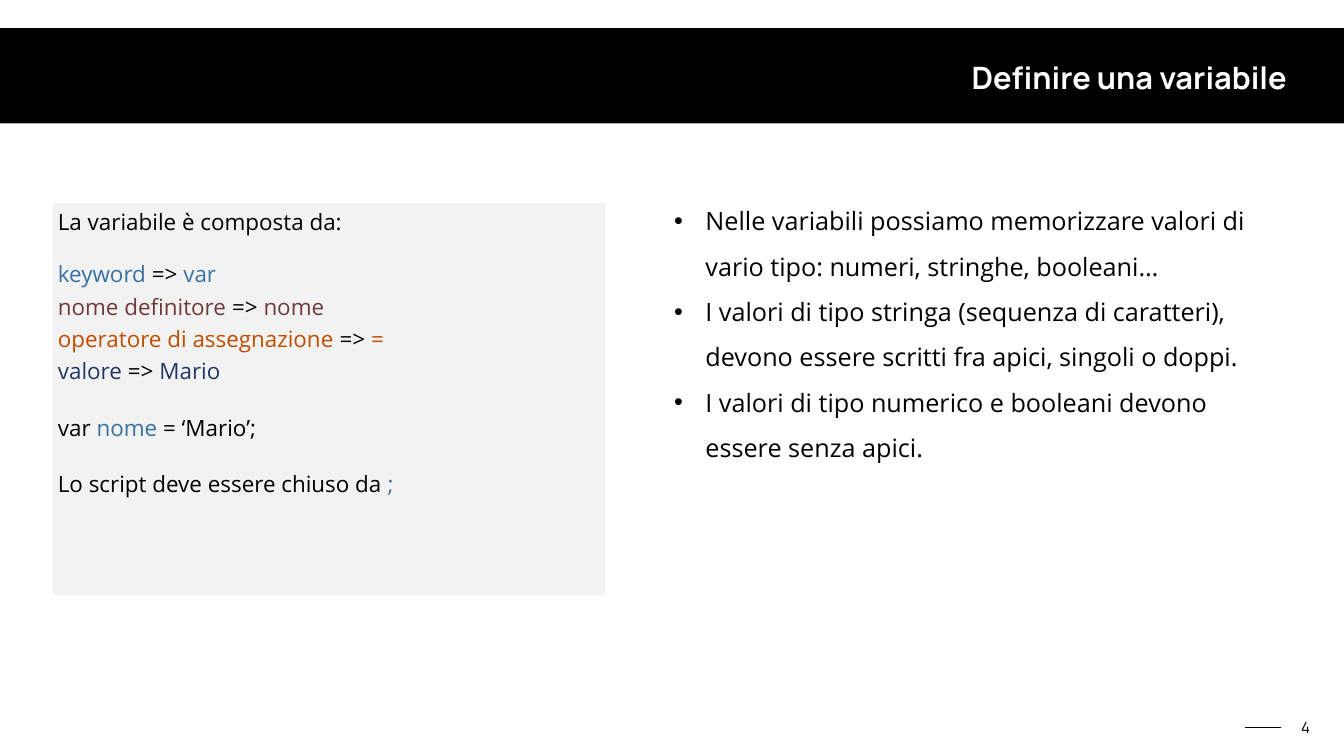
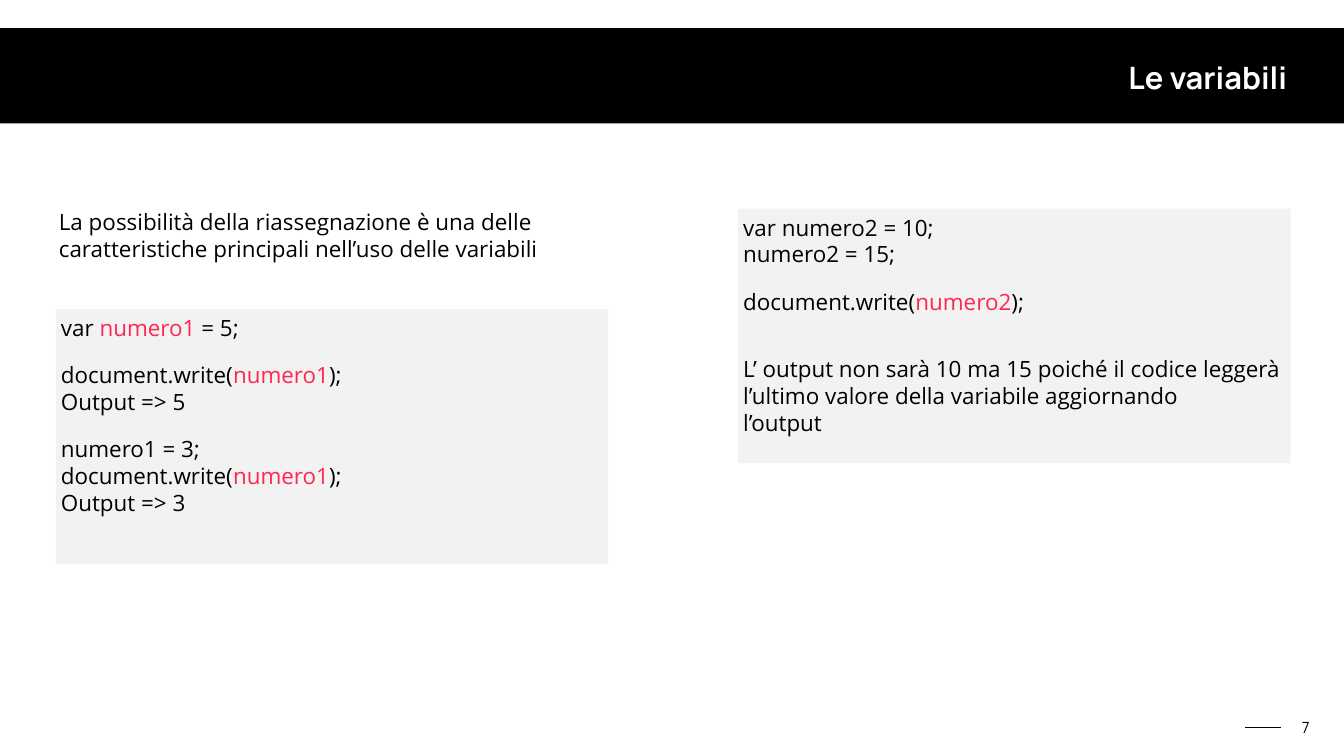
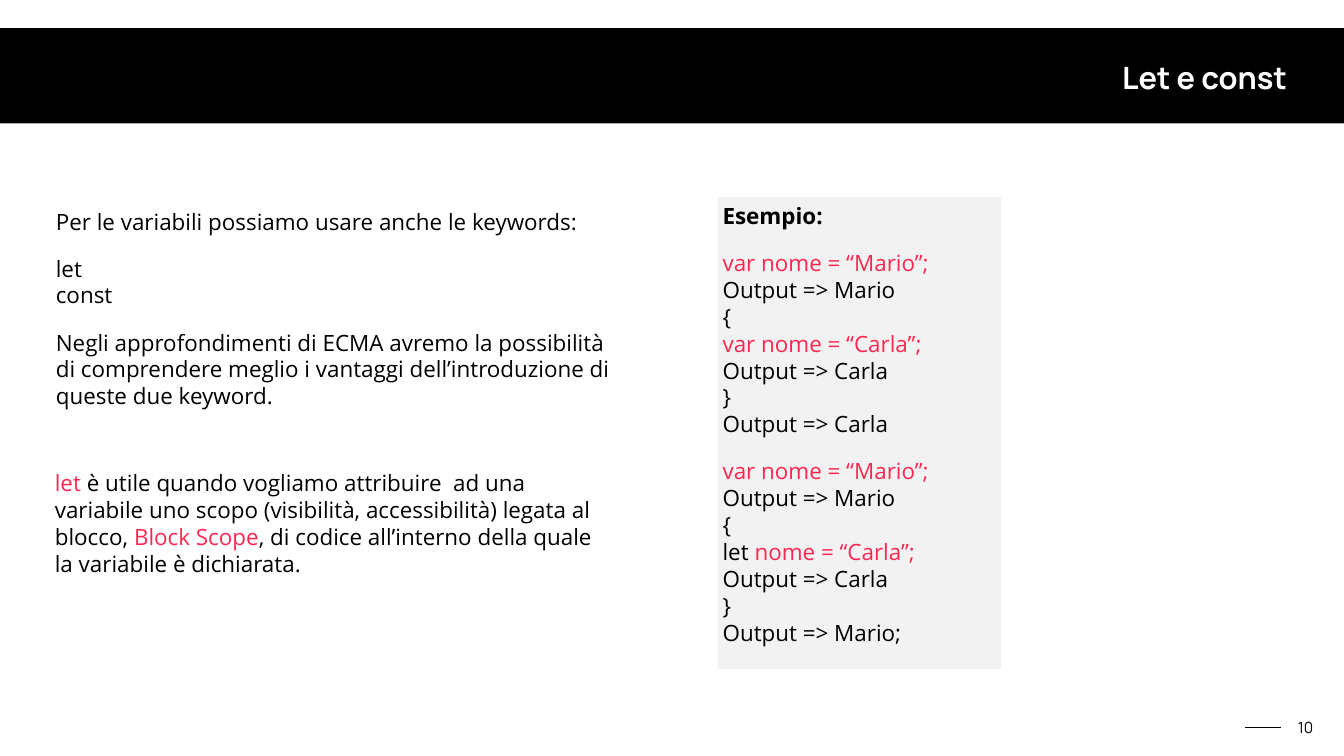
from dataclasses import dataclass

from lxml import etree
from pptx import Presentation
from pptx import util as u
from pptx.dml.color import RGBColor
from pptx.enum import shapes, text
from pptx.oxml import ns

PX = 9144
BLACK, WHITE, PANEL = "000000", "FFFFFF", "F2F2F2"
PINK, BLUE, BROWN, ORANGE, NAVY = "FF2751", "3672A3", "713A3A", "C04D00", "203766"
BODY_FONT, TITLE_FONT = "Open Sans", "Manrope"
GAP = 28.8
WIDE_GAP = GAP * 1.2


@dataclass(frozen=True)
class Run:
    words: str
    color: str = BLACK
    bold: bool = False


@dataclass(frozen=True)
class Line:
    runs: tuple[Run, ...]
    before: float = 0
    spacing: float = 1.0


@dataclass(frozen=True)
class Block:
    left: int
    top: int
    width: int
    height: int
    lines: tuple[Line, ...]
    fill: str = PANEL
    size: int = 32
    bullets: bool = False


@dataclass(frozen=True)
class Page:
    title: str
    number: str
    blocks: tuple[Block, ...]


def px(length: int) -> u.Emu:
    return u.Emu(length * PX)


def rgb(color: str) -> RGBColor:
    return RGBColor.from_string(color)


def line(*parts: Run | str, before: float = 0, spacing: float = 1.0) -> Line:
    runs = tuple(Run(part) if isinstance(part, str) else part for part in parts)
    return Line(runs, before, spacing)


def pair(term: str, example: str, color: str, before: float = 0) -> Line:
    return line(Run(term, color), " => ", Run(example, color), before=before, spacing=1.2)


def write_call(variable: str, before: float = 0) -> Line:
    return line("document.write(", Run(variable, PINK), ");", before=before)


def scope_example(inner: Line, last_output: str) -> tuple[Line, ...]:
    return (
        line(Run("var nome = “Mario”;", PINK), before=GAP),
        line("Output => Mario"),
        line("{"),
        inner,
        line("Output => Carla"),
        line("}"),
        line(last_output),
    )


def add_bullet(paragraph) -> None:
    properties = paragraph._p.get_or_add_pPr()
    indent = px(62)
    properties.set("marL", str(indent))
    properties.set("indent", str(-indent))
    color = etree.SubElement(properties, ns.qn("a:buClr"))
    etree.SubElement(color, ns.qn("a:srgbClr"), val=BLACK)
    etree.SubElement(properties, ns.qn("a:buFont"), typeface="Arial")
    etree.SubElement(properties, ns.qn("a:buChar"), char="•")


def write(shape, lines: tuple[Line, ...], *, size: int, font: str = BODY_FONT,
          align=text.PP_ALIGN.LEFT, anchor=text.MSO_ANCHOR.TOP,
          inset: int = 10, bullets: bool = False) -> None:
    frame = shape.text_frame
    frame.word_wrap = True
    frame.vertical_anchor = anchor
    frame.margin_left = frame.margin_right = px(inset)
    frame.margin_top = frame.margin_bottom = px(inset)
    for index, entry in enumerate(lines):
        paragraph = frame.add_paragraph() if index else frame.paragraphs[0]
        paragraph.alignment = align
        paragraph.line_spacing = entry.spacing
        paragraph.space_before = u.Pt(entry.before)
        if bullets:
            add_bullet(paragraph)
        for part in entry.runs:
            run = paragraph.add_run()
            run.text = part.words
            run.font.name = font
            run.font.size = u.Pt(size)
            run.font.bold = part.bold
            run.font.color.rgb = rgb(part.color)


def add_panel(slide, left: int, top: int, width: int, height: int, fill: str):
    panel = slide.shapes.add_shape(
        shapes.MSO_SHAPE.RECTANGLE, px(left), px(top), px(width), px(height))
    panel.shadow.inherit = False
    panel.fill.solid()
    panel.fill.fore_color.rgb = rgb(fill)
    panel.line.fill.background()
    return panel


def add_frame(slide, page: Page) -> None:
    add_panel(slide, -21, 56, 2708, 189, BLACK)
    dash = slide.shapes.add_connector(
        shapes.MSO_CONNECTOR.STRAIGHT, px(2542), px(1444), px(2471), px(1444))
    dash.line.color.rgb = rgb(BLACK)
    dash.line.width = u.Pt(2)
    etree.SubElement(dash._element.spPr, ns.qn("a:effectLst"))
    number = slide.shapes.add_textbox(px(2566), px(1420), px(50), px(48))
    write(number, (line(page.number),), size=22, font=TITLE_FONT, inset=6,
          align=text.PP_ALIGN.CENTER, anchor=text.MSO_ANCHOR.BOTTOM)
    title = slide.shapes.add_textbox(px(589), px(110), px(1971), px(85))
    write(title, (line(Run(page.title, WHITE, True)),), size=44, font=TITLE_FONT,
          inset=6, align=text.PP_ALIGN.RIGHT, anchor=text.MSO_ANCHOR.MIDDLE)


def add_page(deck, page: Page) -> None:
    slide = deck.slides.add_slide(deck.slide_layouts[6])
    add_frame(slide, page)
    for block in page.blocks:
        panel = add_panel(slide, block.left, block.top, block.width, block.height, block.fill)
        write(panel, block.lines, size=block.size, bullets=block.bullets)


PAGES = (
    Page("Definire una variabile", "4", (
        Block(105, 403, 1096, 778, (
            line("La variabile è composta da:"),
            pair("keyword", "var", BLUE, before=GAP),
            pair("nome definitore", "nome", BROWN),
            pair("operatore di assegnazione", "=", ORANGE),
            pair("valore", "Mario", NAVY),
            line("var ", Run("nome", BLUE), " = ‘Mario’;", before=WIDE_GAP, spacing=1.2),
            line("Lo script deve essere chiuso da", Run(" ;", BLUE),
                 before=WIDE_GAP, spacing=1.2),
        )),
        Block(1328, 368, 1232, 556, (
            line("Nelle variabili possiamo memorizzare valori di vario tipo: "
                 "numeri, stringhe, booleani…", spacing=1.5),
            line("I valori di tipo stringa (sequenza di caratteri), devono essere "
                 "scritti fra apici, singoli o doppi.", spacing=1.5),
            line("I valori di tipo numerico e booleani devono essere senza apici.",
                 spacing=1.5),
        ), fill=WHITE, size=36, bullets=True),
    )),
    Page("Le variabili", "7", (
        Block(1465, 414, 1096, 505, (
            line("var numero2 = 10;"),
            line("numero2 = 15;"),
            write_call("numero2", before=GAP),
            line("L’ output non sarà 10 ma 15 poiché il codice leggerà l’ultimo "
                 "valore della variabile aggiornando", before=2 * GAP),
            line("l’output"),
        )),
        Block(107, 403, 1096, 145, (
            line("La possibilità della riassegnazione è una delle caratteristiche "
                 "principali nell’uso delle variabili"),
        ), fill=WHITE),
        Block(111, 614, 1096, 505, (
            line("var ", Run("numero1", PINK), " = 5;"),
            write_call("numero1", before=GAP),
            line("Output => 5"),
            line("numero1 = 3;", before=GAP),
            write_call("numero1"),
            line("Output => 3"),
        )),
    )),
    Page("Let e const", "10", (
        Block(101, 402, 1123, 451, (
            line("Per le variabili possiamo usare anche le keywords:"),
            line("let", before=GAP),
            line("const"),
            line("Negli approfondimenti di ECMA avremo la possibilità di comprendere "
                 "meglio i vantaggi dell’introduzione di queste due keyword.", before=GAP),
        ), fill=WHITE),
        Block(1424, 391, 562, 936, (
            line(Run("Esempio:", bold=True)),
            *scope_example(line(Run("var nome = “Carla”;", PINK)), "Output => Carla"),
            *scope_example(line("let ", Run("nome = “Carla”;", PINK)), "Output => Mario;"),
        )),
        Block(99, 921, 1123, 236, (
            line(Run("let ", PINK),
                 "è utile quando vogliamo attribuire  ad una variabile uno scopo "
                 "(visibilità, accessibilità) legata al blocco, ",
                 Run("Block Scope", PINK),
                 ", di codice all’interno della quale la variabile è dichiarata."),
        ), fill=WHITE),
    )),
)


def main() -> None:
    deck = Presentation()
    deck.slide_width, deck.slide_height = px(2667), px(1500)
    for page in PAGES:
        add_page(deck, page)
    deck.save("out.pptx")


if __name__ == "__main__":
    main()
